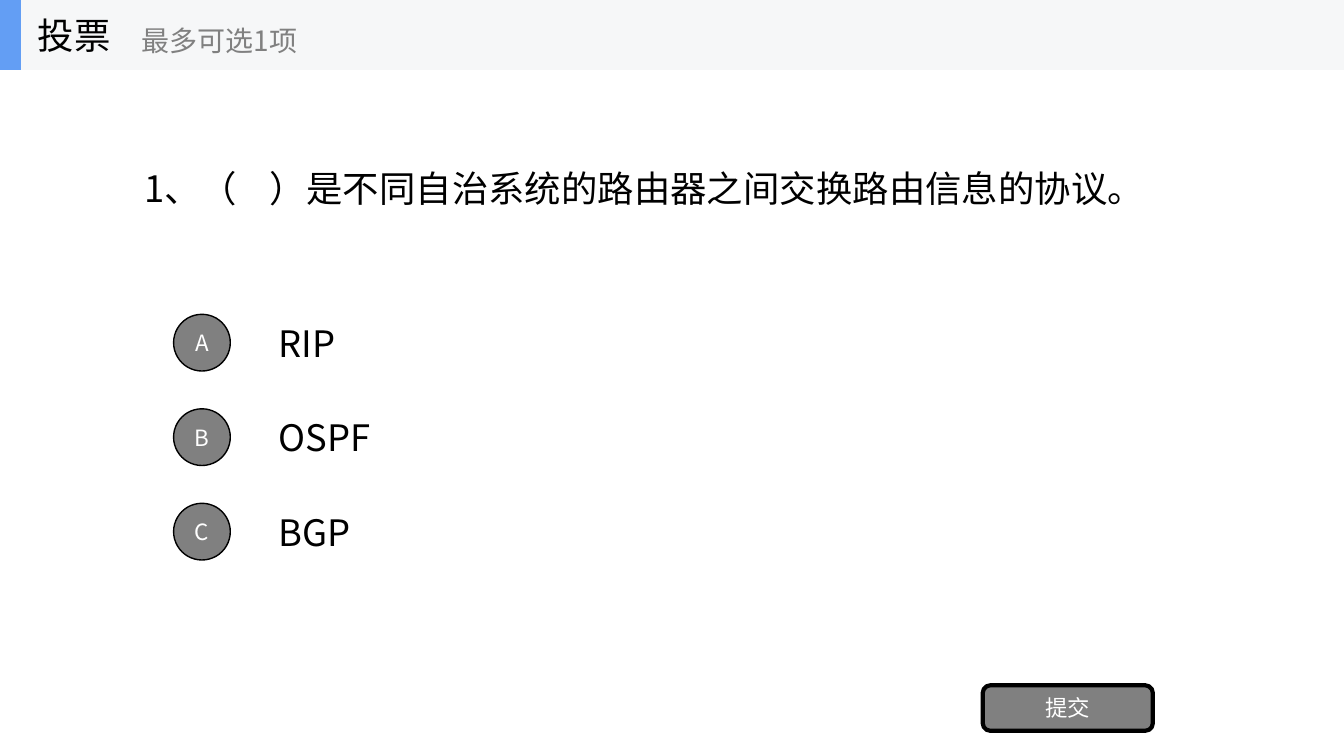
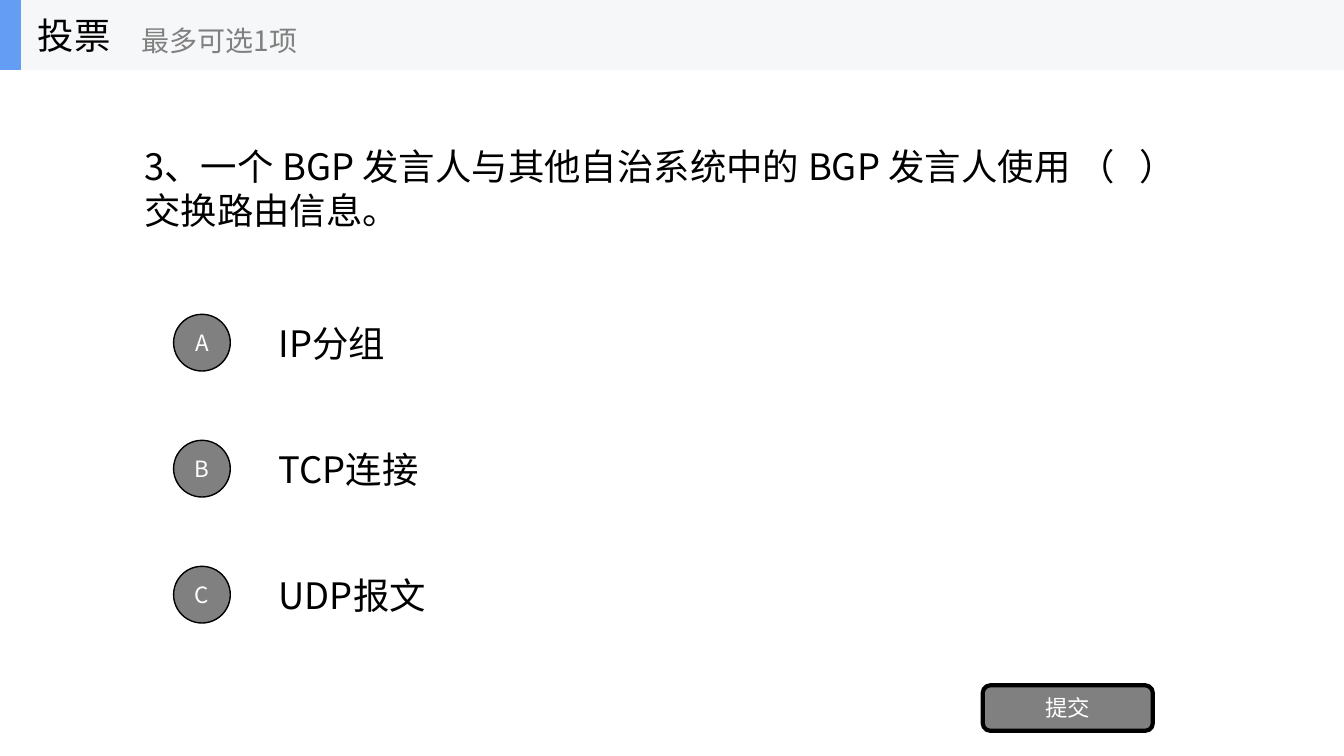
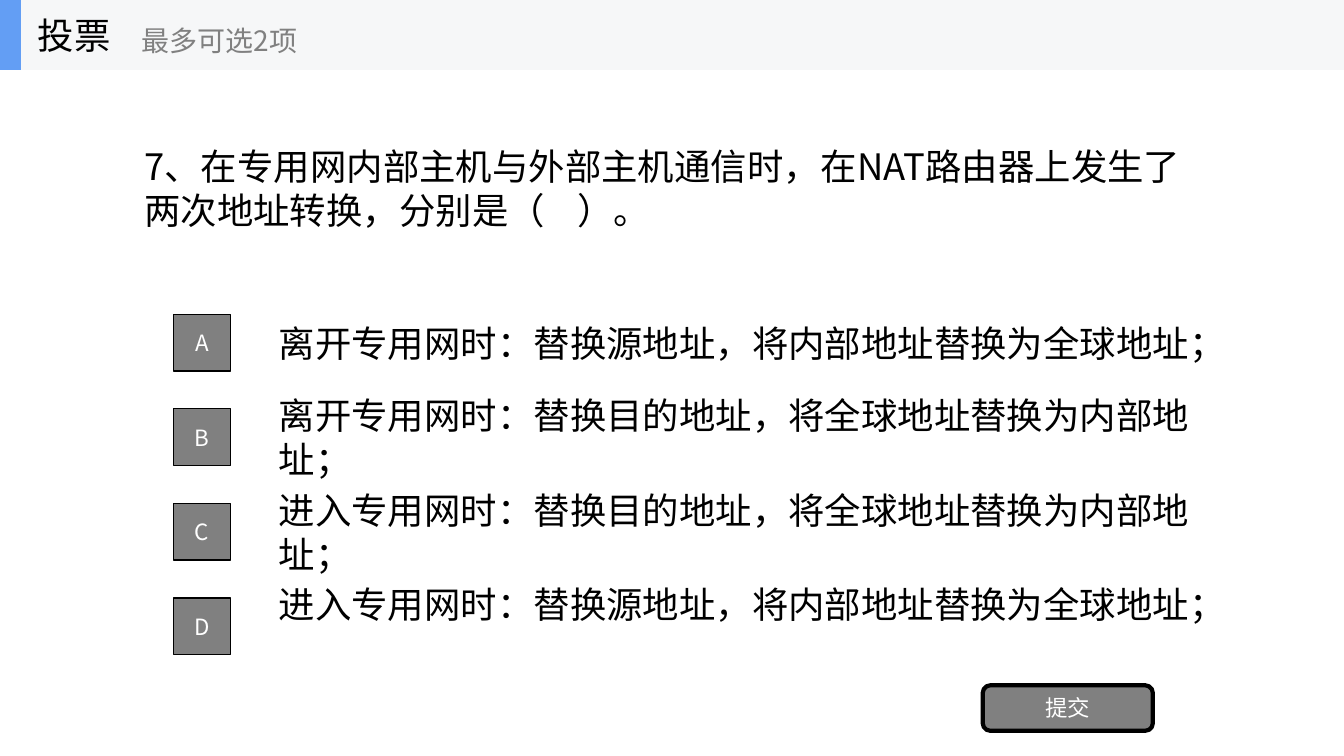
from lxml.etree import SubElement
from pptx import Presentation
from pptx.dml.color import RGBColor
from pptx.enum.shapes import MSO_SHAPE as Preset
from pptx.enum.text import MSO_ANCHOR as Anchor, PP_ALIGN as Align
from pptx.oxml.ns import qn
from pptx.util import Pt

# Shared look
BLACK = RGBColor(0x00, 0x00, 0x00)
WHITE = RGBColor(0xFF, 0xFF, 0xFF)
GREY = RGBColor(0x80, 0x80, 0x80)
BAND = RGBColor(0xF6, 0xF7, 0xF8)
ACCENT = RGBColor(0x63, 0x9E, 0xF4)
FONT = "Noto Sans CJK SC"
BODY = {"size": Pt(26), "name": FONT}
HINT = {"size": Pt(20), "name": FONT}
LABEL = {"size": Pt(16), "name": FONT}

# Shared layout, in points
WIDTH, HEIGHT = 960, 540
BAND_HEIGHT = 50
FIRST_ROW, ROW_HEIGHT = 219.5, 50.5
MARKER_LEFT, MARKER_SIZE = 124, 40.5
MARKER_DROP = (ROW_HEIGHT - MARKER_SIZE) / 2

# Per slide: selectable count, marker preset, row pitch, question, options
# An option is its text and how far it is raised above its row
POLLS = [
    (1, Preset.OVAL, 67.5,
     "1、（    ）是不同自治系统的路由器之间交换路由信息的协议。",
     [("RIP", 0), ("OSPF", 0), ("BGP", 0)]),
    (1, Preset.OVAL, 90,
     "3、一个 BGP 发言人与其他自治系统中的 BGP 发言人使用 （   ）交换路由信息。",
     [("IP分组", 0), ("TCP连接", 0), ("UDP报文", 0)]),
    (2, Preset.RECTANGLE, 67.5,
     "7、在专用网内部主机与外部主机通信时，在NAT路由器上发生了两次地址转换，分别是（    ）。",
     [("离开专用网时：替换源地址，将内部地址替换为全球地址；", 0),
      ("离开专用网时：替换目的地址，将全球地址替换为内部地址；", 0),
      ("进入专用网时：替换目的地址，将全球地址替换为内部地址；", 0),
      ("进入专用网时：替换源地址，将内部地址替换为全球地址；", 15.7)]),
]


def write_text(shape, text, style, color, align=Align.LEFT, wrap=True):
    frame = shape.text_frame
    frame.word_wrap = wrap
    frame.vertical_anchor = Anchor.MIDDLE
    paragraph = frame.paragraphs[0]
    paragraph.alignment = align
    run = paragraph.add_run()
    run.text = text
    for attribute, value in style.items():
        setattr(run.font, attribute, value)
    run.font.color.rgb = color
    SubElement(run.font._element, qn("a:ea"), typeface=FONT)


def add_block(shapes, preset, box, fill, line_width=0):
    shape = shapes.add_shape(preset, *map(Pt, box))
    shape.shadow.inherit = False
    shape.fill.solid()
    shape.fill.fore_color.rgb = fill
    if line_width:
        shape.line.color.rgb = BLACK
        shape.line.width = Pt(line_width)
    else:
        shape.line.fill.background()
    return shape


presentation = Presentation()
presentation.slide_width = Pt(WIDTH)
presentation.slide_height = Pt(HEIGHT)
blank_layout = presentation.slide_layouts[6]

for limit, marker_preset, pitch, question, options in POLLS:
    slide = presentation.slides.add_slide(blank_layout)
    shapes = slide.shapes

    # Question
    question_box = shapes.add_textbox(Pt(96), Pt(BAND_HEIGHT), Pt(768), Pt(168))
    write_text(question_box, question, BODY, BLACK)

    # Options with lettered markers
    for row, (letter, (option, lift)) in enumerate(zip("ABCD", options)):
        top = FIRST_ROW + row * pitch
        option_box = shapes.add_textbox(Pt(192), Pt(top - lift), Pt(672), Pt(ROW_HEIGHT))
        write_text(option_box, option, BODY, BLACK)
        marker_box = (MARKER_LEFT, top + MARKER_DROP, MARKER_SIZE, MARKER_SIZE)
        marker = add_block(shapes, marker_preset, marker_box, GREY, 1)
        write_text(marker, letter, LABEL, WHITE, Align.CENTER)

    # Submit button
    button = add_block(shapes, Preset.ROUNDED_RECTANGLE, (702, 489.5, 121.5, 32.5), GREY, 3)
    write_text(button, "提交", LABEL, WHITE, Align.CENTER)

    # Header band
    header = shapes.add_group_shape().shapes
    add_block(header, Preset.RECTANGLE, (0, 0, WIDTH, BAND_HEIGHT), BAND)
    add_block(header, Preset.RECTANGLE, (0, 0, 15, BAND_HEIGHT), ACCENT)
    title_box = header.add_textbox(Pt(20), Pt(0), Pt(150), Pt(BAND_HEIGHT))
    write_text(title_box, "投票", BODY, BLACK, wrap=False)
    hint_box = header.add_textbox(Pt(94), Pt(8.5), Pt(180), Pt(40.5))
    write_text(hint_box, f"最多可选{limit}项", HINT, GREY, wrap=False)

presentation.save("out.pptx")
